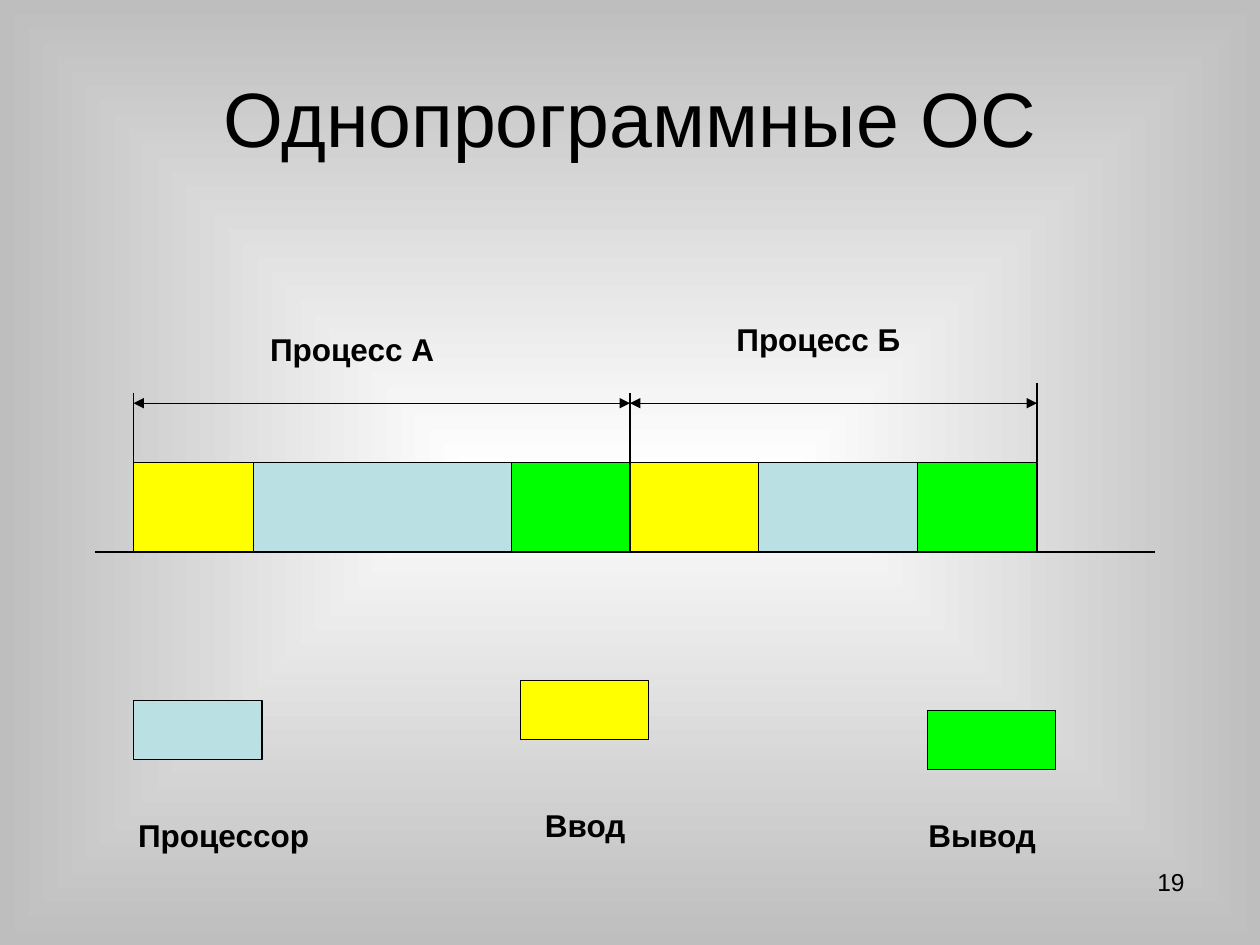
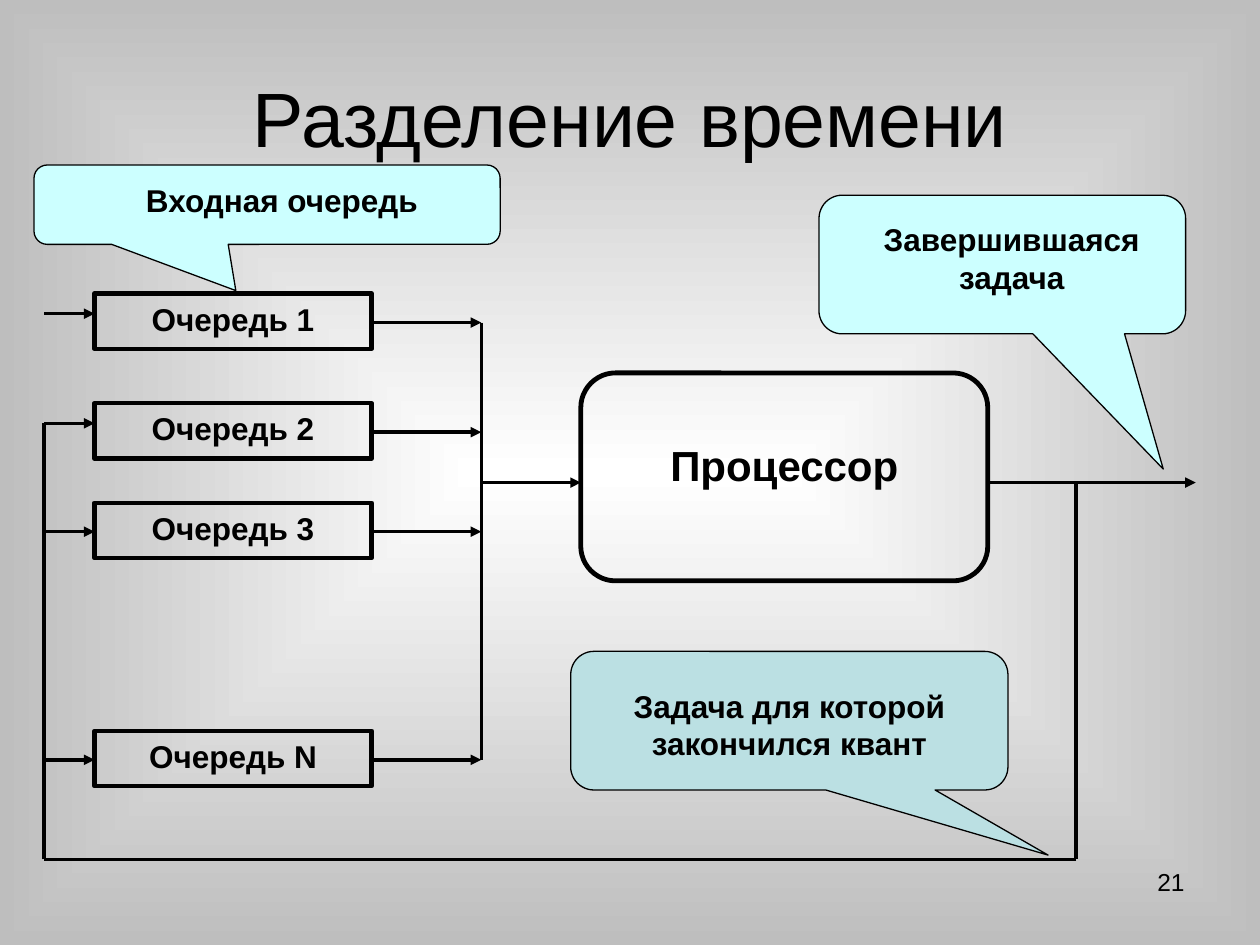
import pptx
import pptx.util
import pptx.dml.color
import pptx.enum.shapes
import pptx.enum.text
import pptx.oxml.ns
import lxml.etree

Inches = pptx.util.Inches
Kind = pptx.enum.shapes.MSO_SHAPE
Align = pptx.enum.text.PP_ALIGN
Anchor = pptx.enum.text.MSO_ANCHOR
qn = pptx.oxml.ns.qn

COLORS = {
    "ink": "000000",
    "center": "FFFFFF",
    "edge": "BEBEBE",
    "input": "FFFF00",
    "processor": "BBE0E3",
    "output": "00FF00",
    "note": "CCFFFF",
}
FONT = "Arial"


def color(name):
    """Return the named colour."""
    return pptx.dml.color.RGBColor.from_string(COLORS[name])


def inches(*lengths):
    """Turn numbers into lengths in inches."""
    return [Inches(length) for length in lengths]


def write_text(shape, text, size=18, bold=True, align=Align.CENTER,
               anchor=Anchor.TOP, wrap=True):
    """Write one formatted paragraph into a shape."""
    frame = shape.text_frame
    frame.word_wrap = wrap
    frame.vertical_anchor = anchor
    paragraph = frame.paragraphs[0]
    paragraph.alignment = align
    run = paragraph.add_run()
    run.text = text
    run.font.name = FONT
    run.font.size = pptx.util.Pt(size)
    run.font.bold = bold
    run.font.color.rgb = color("ink")


def add_label(shapes, box, text, **text_format):
    """Add a text box at box = (left, top, width, height)."""
    write_text(shapes.add_textbox(*inches(*box)), text, **text_format)


def add_block(shapes, box, fill=None, kind=Kind.RECTANGLE, weight=0.75, adjustments=()):
    """Add an outlined shape, hollow unless a fill is named."""
    shape = shapes.add_shape(kind, *inches(*box))
    shape.shadow.inherit = False
    if fill:
        shape.fill.solid()
        shape.fill.fore_color.rgb = color(fill)
    else:
        shape.fill.background()
    shape.line.color.rgb = color("ink")
    shape.line.width = pptx.util.Pt(weight)
    for index, value in enumerate(adjustments):
        shape.adjustments[index] = value
    return shape


def add_line(shapes, start, end, weight=0.75, arrows=()):
    """Add a straight line; arrows lists the ends, headEnd or tailEnd, that are pointed."""
    line = shapes.add_connector(pptx.enum.shapes.MSO_CONNECTOR.STRAIGHT,
                                *inches(*start, *end))
    line.line.color.rgb = color("ink")
    line.line.width = pptx.util.Pt(weight)
    properties = line._element.spPr
    for end_name in arrows:
        lxml.etree.SubElement(properties.find(qn("a:ln")), qn("a:" + end_name),
                              type="triangle")
    lxml.etree.SubElement(properties, qn("a:effectLst"))


def set_background(master):
    """Give the master a gradient from a light centre to darker edges."""
    fill = master.background.fill
    fill.gradient()
    for stop, name, position in zip(fill.gradient_stops, ("center", "edge"), (0, 1)):
        stop.color.rgb = color(name)
        stop.position = position
    gradient = master._element.find(".//" + qn("a:gradFill"))
    gradient.remove(gradient.find(qn("a:lin")))
    path = lxml.etree.SubElement(gradient, qn("a:path"), path="shape")
    lxml.etree.SubElement(path, qn("a:fillToRect"), l="50000", t="50000",
                          r="50000", b="50000")


def add_slide(presentation, title, number):
    """Add a slide with its title and slide number and return its shapes."""
    slide = presentation.slides.add_slide(presentation.slide_layouts[5])
    heading = slide.shapes.title
    heading.left, heading.top, heading.width, heading.height = inches(0.5, 0.3, 9, 1.25)
    write_text(heading, title, size=44, bold=False, anchor=Anchor.MIDDLE)
    add_label(slide.shapes, (7.17, 6.83, 2.33, 0.52), str(number),
              size=14, bold=False, align=Align.RIGHT)
    return slide.shapes


def draw_timeline(shapes, left, top, height):
    """Draw the phases of two processes along a time axis."""
    bottom = top + height
    add_line(shapes, (left - 0.31, bottom), (left + 8.11, bottom))
    phases = ("input", "processor", "output")
    processes = [
        ("Процесс А", (0.95, 2.05, 0.94), 0.55, (1.14, 2.57)),
        ("Процесс Б", (1.02, 1.26, 0.95), 0.63, (4.84, 2.49)),
    ]
    arrow_y = top - 0.47
    add_line(shapes, (left, top - 0.55), (left, top))
    start = left
    for name, widths, tick, label in processes:
        end = start
        for phase, width in zip(phases, widths):
            add_block(shapes, (end, top, width, height), phase)
            end += width
        add_line(shapes, (end, top), (end, top - tick))
        add_line(shapes, (start, arrow_y), (end, arrow_y), arrows=("headEnd", "tailEnd"))
        add_label(shapes, (*label, 3.31, 0.4), name)
        start = end


def draw_legend_item(shapes, left, top, fill, text, label):
    """Draw a grouped colour sample with its label; label = (dx, dy, width)."""
    group = shapes.add_group_shape().shapes
    add_block(group, (left, top, 1.02, 0.47), fill)
    dx, dy, width = label
    add_label(group, (left + dx, top + dy, width, 0.4), text)


def draw_queues(shapes, left, top):
    """Draw the queues with arrows in from the return line and out to the collector."""
    width, height, middle = 2.2, 0.44, 0.23
    bus, collector = left - 0.4, left + width + 0.87
    queues = [("1", 0, 0.16), ("2", 0.87, 0.16), ("3", 1.66, middle), ("N", 3.47, middle)]
    for name, offset, entry in queues:
        y = top + offset
        queue = add_block(shapes, (left, y, width, height), weight=2.5)
        write_text(queue, "Очередь " + name)
        add_line(shapes, (bus, y + entry), (left, y + entry), 2, ["tailEnd"])
        add_line(shapes, (left + width, y + middle), (collector, y + middle),
                 2, ["tailEnd"])
    add_line(shapes, (collector, top + middle), (collector, top + 3.47 + middle), 2)


def draw_processor(shapes, left, top, width, height):
    """Draw the processor with its input, its output and the return line to the queues."""
    add_label(shapes, (left - 0.16, top + 0.48, 3.55, 0.5), "Процессор", size=24)
    add_block(shapes, (left, top, width, height), kind=Kind.ROUNDED_RECTANGLE,
              weight=2.75, adjustments=[0.167])
    right, y = left + width, top + 0.87
    add_line(shapes, (left - 0.79, y), (left, y), 2, ["tailEnd"])
    add_line(shapes, (right, y), (right + 1.65, y), 2, ["tailEnd"])
    corners = [(right + 0.7, y), (right + 0.7, 6.82), (0.35, 6.82), (0.35, 3.36)]
    for start, end in zip(corners, corners[1:]):
        add_line(shapes, start, end, 2)


def draw_callout(shapes, box, fill, tip, text, label, **text_format):
    """Draw a callout pointing at tip; label is the text box relative to its corner."""
    add_block(shapes, box, fill, Kind.ROUNDED_RECTANGULAR_CALLOUT,
              adjustments=(*tip, 0.167))
    dx, dy, width, height = label
    add_label(shapes, (box[0] + dx, box[1] + dy, width, height), text, **text_format)


def build_single_program_slide(presentation):
    """Build the slide on single-program systems."""
    shapes = add_slide(presentation, "Однопрограммные ОС", 19)
    draw_timeline(shapes, 1.06, 3.67, 0.71)
    draw_legend_item(shapes, 1.06, 5.56, "processor", "Процессор", (-0.31, 0.87, 2.05))
    draw_legend_item(shapes, 4.13, 5.4, "input", "Ввод", (-0.47, 0.95, 1.97))
    draw_legend_item(shapes, 7.36, 5.64, "output", "Вывод", (-0.63, 0.79, 2.13))


def build_time_sharing_slide(presentation):
    """Build the slide on time sharing."""
    shapes = add_slide(presentation, "Разделение времени", 21)
    draw_queues(shapes, 0.75, 2.33)
    draw_processor(shapes, 4.61, 2.96, 3.23, 1.65)
    draw_callout(shapes, (0.27, 1.31, 3.7, 0.63), "note", (-0.067, 1.083),
                 "Входная очередь", (0.79, 0.08, 2.38, 0.4),
                 align=Align.LEFT, wrap=False)
    draw_callout(shapes, (6.5, 1.55, 2.91, 1.1), "note", (0.439, 1.476),
                 "Завершившаяся задача", (0.31, 0.15, 2.44, 0.7))
    draw_callout(shapes, (4.53, 5.17, 3.47, 1.1), "processor", (0.592, 0.97),
                 "Задача для которой закончился квант", (0.16, 0.23, 3.15, 0.7))


presentation = pptx.Presentation()
presentation.slide_width, presentation.slide_height = inches(10, 7.5)
set_background(presentation.slide_master)
build_single_program_slide(presentation)
build_time_sharing_slide(presentation)
presentation.save("out.pptx")
